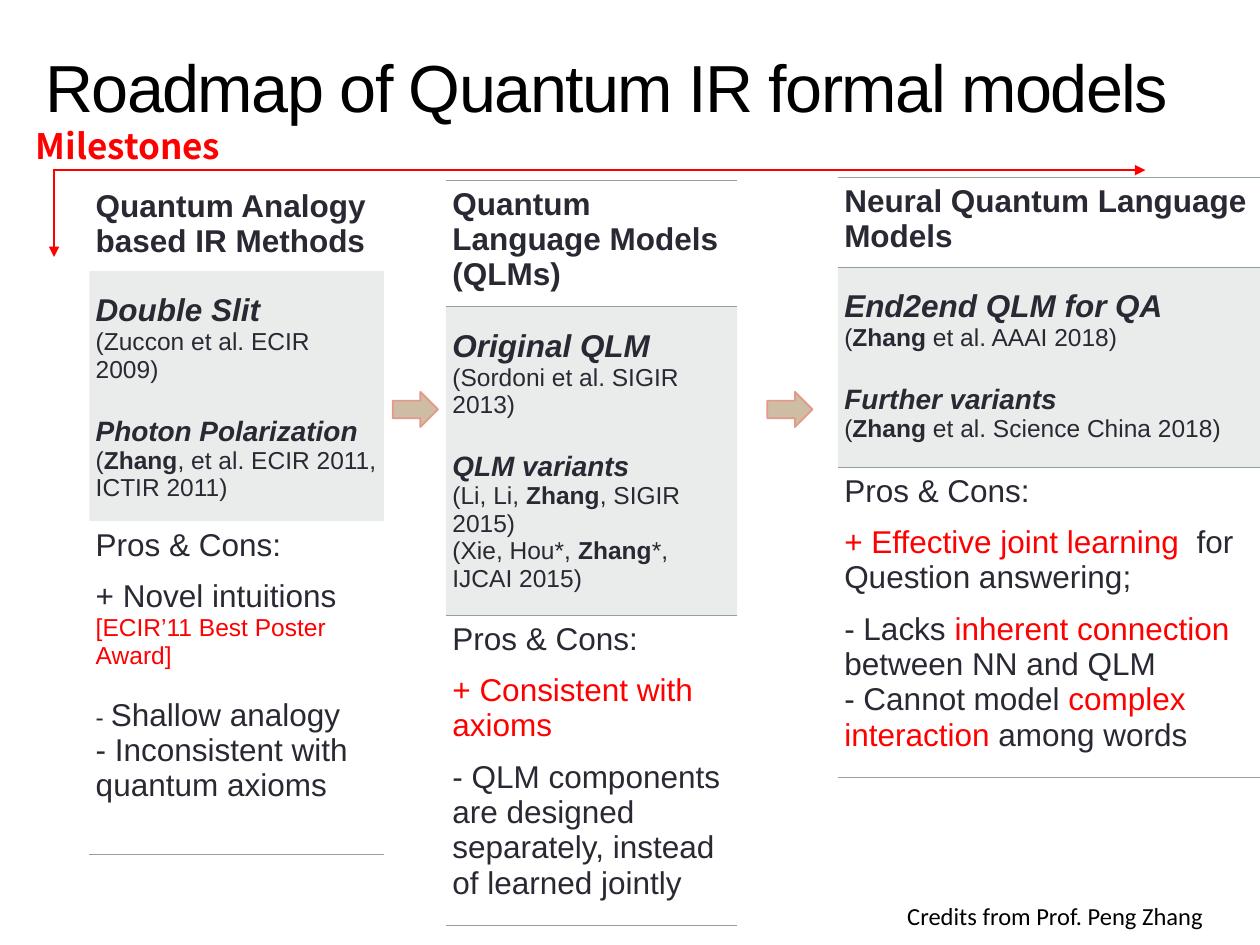
"""Build the slide on the roadmap of quantum IR formal models."""
from dataclasses import dataclass

from lxml.etree import SubElement
from pptx import Presentation
from pptx.dml.color import RGBColor
from pptx.enum.shapes import MSO_CONNECTOR, MSO_SHAPE
from pptx.enum.text import MSO_ANCHOR, PP_ALIGN
from pptx.oxml.ns import qn
from pptx.util import Cm, Pt


@dataclass(frozen=True)
class Style:
    size: int
    color: str = "292934"
    bold: bool = False
    italic: bool = False
    font: str = "Arial"
    spacing: int = 0


@dataclass(frozen=True)
class Theme:
    red: str = "FF0000"
    rule: str = "93A299"
    arrow_fill: str = "CEBCA4"
    arrow_line: str = "E4988A"
    title: Style = Style(38, "000000", spacing=-90)
    milestones: Style = Style(20, "FF0000", bold=True, font="Noto Sans CJK SC")
    credit: Style = Style(14, "000000", font="Calibri")
    head: Style = Style(18, bold=True)
    lead: Style = Style(18, bold=True, italic=True)
    variant: Style = Style(16, bold=True, italic=True)
    cite: Style = Style(14)
    author: Style = Style(14, bold=True)
    body: Style = Style(18)
    hot: Style = Style(18, "FF0000")
    award: Style = Style(14, "FF0000")


T = Theme()
SMALL_GAP, WIDE_GAP, AWARD_GAP = 9.2, 18.4, 16.1
PROS = (0, [("Pros & Cons:", T.body)])
NO_STYLE = "{2D5ABB26-0587-4C30-8999-92F81FD0307C}"

ANALOGY = [
    [(0, [("Quantum Analogy based IR Methods", T.head)])],
    [
        (0, [("Double Slit", T.lead)]),
        (0, [("(Zuccon et al. ECIR 2009)", T.cite)]),
        (WIDE_GAP, [("Photon Polarization", T.variant)]),
        (0, [("(", T.cite), ("Zhang", T.author),
             (", et al. ECIR 2011, ICTIR 2011)", T.cite)]),
    ],
    [
        PROS,
        (SMALL_GAP, [("+ Novel intuitions ", T.body),
                     ("[ECIR’11 Best Poster Award]", T.award)]),
        (AWARD_GAP, [("- ", T.cite), ("Shallow analogy", T.body)]),
        (0, [("- Inconsistent with quantum axioms", T.body)]),
    ],
]
QLM = [
    [(0, [("Quantum Language Models (QLMs)", T.head)])],
    [
        (0, [("Original QLM", T.lead)]),
        (0, [("(Sordoni et al. SIGIR 2013)", T.cite)]),
        (WIDE_GAP, [("QLM variants", T.variant)]),
        (0, [("(Li, Li, ", T.cite), ("Zhang", T.author), (", SIGIR 2015)", T.cite)]),
        (0, [("(Xie, Hou*, ", T.cite), ("Zhang", T.author), ("*, IJCAI 2015)", T.cite)]),
    ],
    [
        PROS,
        (SMALL_GAP, [("+ Consistent with axioms", T.hot)]),
        (SMALL_GAP, [("- QLM components are designed separately, "
                      "instead of learned jointly", T.body)]),
    ],
]
NEURAL = [
    [(0, [("Neural Quantum Language Models", T.head)])],
    [
        (0, [("End2end QLM for QA", T.lead)]),
        (0, [("(", T.cite), ("Zhang ", T.author), ("et al. AAAI 2018)", T.cite)]),
        (WIDE_GAP, [("Further variants", T.variant)]),
        (0, [("(", T.cite), ("Zhang", T.author),
             (" et al. Science China 2018)", T.cite)]),
    ],
    [
        PROS,
        (SMALL_GAP, [("+ Effective joint learning ", T.hot),
                     (" for Question answering;", T.body)]),
        (SMALL_GAP, [("- Lacks ", T.body), ("inherent connection ", T.hot),
                     ("between NN and QLM", T.body)]),
        (0, [("- Cannot model ", T.body), ("complex interaction ", T.hot),
             ("among words", T.body)]),
    ],
]


def rgb(color):
    """Turn a hex string into a colour."""
    return RGBColor.from_string(color)


def add_run(p, text, style):
    """Append a formatted run to a paragraph."""
    r = p.add_run()
    r.text = text
    r.font.name, r.font.size = style.font, Pt(style.size)
    r.font.bold, r.font.italic = style.bold, style.italic
    r.font.color.rgb = rgb(style.color)
    if style.spacing:
        r.font._element.set("spc", str(style.spacing))


def set_margins(box, margin):
    """Give a text frame or cell equal margins."""
    box.margin_left = box.margin_right = Cm(margin)
    box.margin_top = box.margin_bottom = Cm(margin)


def add_label(s, text, style, x, y, w, h, margin=0.1, align=PP_ALIGN.LEFT):
    """Add a single line of text."""
    tf = s.shapes.add_textbox(Cm(x), Cm(y), Cm(w), Cm(h)).text_frame
    tf.word_wrap = False
    tf.vertical_anchor = MSO_ANCHOR.MIDDLE
    set_margins(tf, margin)
    tf.paragraphs[0].alignment = align
    add_run(tf.paragraphs[0], text, style)


def add_axis(s, x1, y1, x2, y2):
    """Add a thin red line with an arrowhead at its end."""
    line = s.shapes.add_connector(MSO_CONNECTOR.STRAIGHT, Cm(x1), Cm(y1), Cm(x2), Cm(y2))
    line.line.color.rgb = rgb(T.red)
    line.line.width = Pt(1)
    SubElement(line.line._get_or_add_ln(), qn("a:tailEnd"), type="triangle")
    SubElement(line._element.spPr, qn("a:effectLst"))


def add_step_arrow(s, x):
    """Add a block arrow between two tables."""
    sp = s.shapes.add_shape(MSO_SHAPE.RIGHT_ARROW, Cm(x), Cm(7.9), Cm(0.91), Cm(0.71))
    sp.shadow.inherit = False
    sp.fill.solid()
    sp.fill.fore_color.rgb = rgb(T.arrow_fill)
    sp.line.color.rgb = rgb(T.arrow_line)
    sp.line.width = Pt(1)


def add_border(cell, side):
    """Draw a hairline on one side of a cell."""
    ln = SubElement(cell._tc.get_or_add_tcPr(), qn(f"a:{side}"), w=str(Pt(0.25)))
    fill = SubElement(ln, qn("a:solidFill"))
    SubElement(fill, qn("a:srgbClr"), val=T.rule)


def fill_cell(cell, color, alpha=100):
    """Fill a cell with a colour of the given opacity in percent."""
    cell.fill.solid()
    cell.fill.fore_color.rgb = rgb(color)
    if alpha < 100:
        clr = cell._tc.tcPr.find(f"{qn('a:solidFill')}/{qn('a:srgbClr')}")
        SubElement(clr, qn("a:alpha"), val=str(alpha * 1000))


def add_model_table(s, content, x, y, w, heights, ruled=True):
    """Add a one-column table with heading, models, and pros and cons."""
    tbl = s.shapes.add_table(3, 1, Cm(x), Cm(y), Cm(w), Cm(sum(heights))).table
    tbl.first_row = tbl.horz_banding = False
    tbl._tbl.tblPr.find(qn("a:tableStyleId")).text = NO_STYLE
    head, models, verdict = cells = [tbl.cell(i, 0) for i in range(3)]
    for row, height, cell, paragraphs in zip(tbl.rows, heights, cells, content):
        row.height = Cm(height)
        set_margins(cell, 0.13)
        tf = cell.text_frame
        for i, (gap, runs) in enumerate(paragraphs):
            p = tf.add_paragraph() if i else tf.paragraphs[0]
            if gap:
                p.space_before = Pt(gap)
            for text, style in runs:
                add_run(p, text, style)
    models.margin_top = Cm(0.45)
    if ruled:
        add_border(head, "lnT")
        add_border(head, "lnB")
        add_border(models, "lnT")
    add_border(verdict, "lnB")
    fill_cell(head, "FFFFFF")
    fill_cell(models, T.rule, 20)
    verdict.fill.background()


def main():
    """Build and save the slide."""
    prs = Presentation()
    prs.slide_width, prs.slide_height = Cm(25.4), Cm(19.05)
    s = prs.slides.add_slide(prs.slide_layouts[6])
    add_label(s, "Milestones", T.milestones, 0.23, 2.41, 4.7, 1.04, align=PP_ALIGN.CENTER)
    add_axis(s, 1.07, 3.43, 23.09, 3.43)
    add_label(s, "Roadmap of Quantum IR formal models", T.title, 0.81, 0.71, 22.86, 2.06)
    add_axis(s, 1.09, 3.43, 1.09, 5.18)
    add_model_table(s, QLM, 8.99, 3.63, 5.87, (2.46, 5.97, 6.07))
    add_step_arrow(s, 7.92)
    add_model_table(s, NEURAL, 16.89, 3.58, 9.47, (1.8, 4.04, 6.07))
    add_step_arrow(s, 15.47)
    add_model_table(s, ANALOGY, 1.8, 3.68, 5.94, (1.75, 4.85, 6.71), ruled=False)
    add_label(s, "Credits from Prof. Peng Zhang", T.credit, 18.16, 18.06, 6.93, 0.81, 0.13)
    prs.save("out.pptx")


if __name__ == "__main__":
    main()
